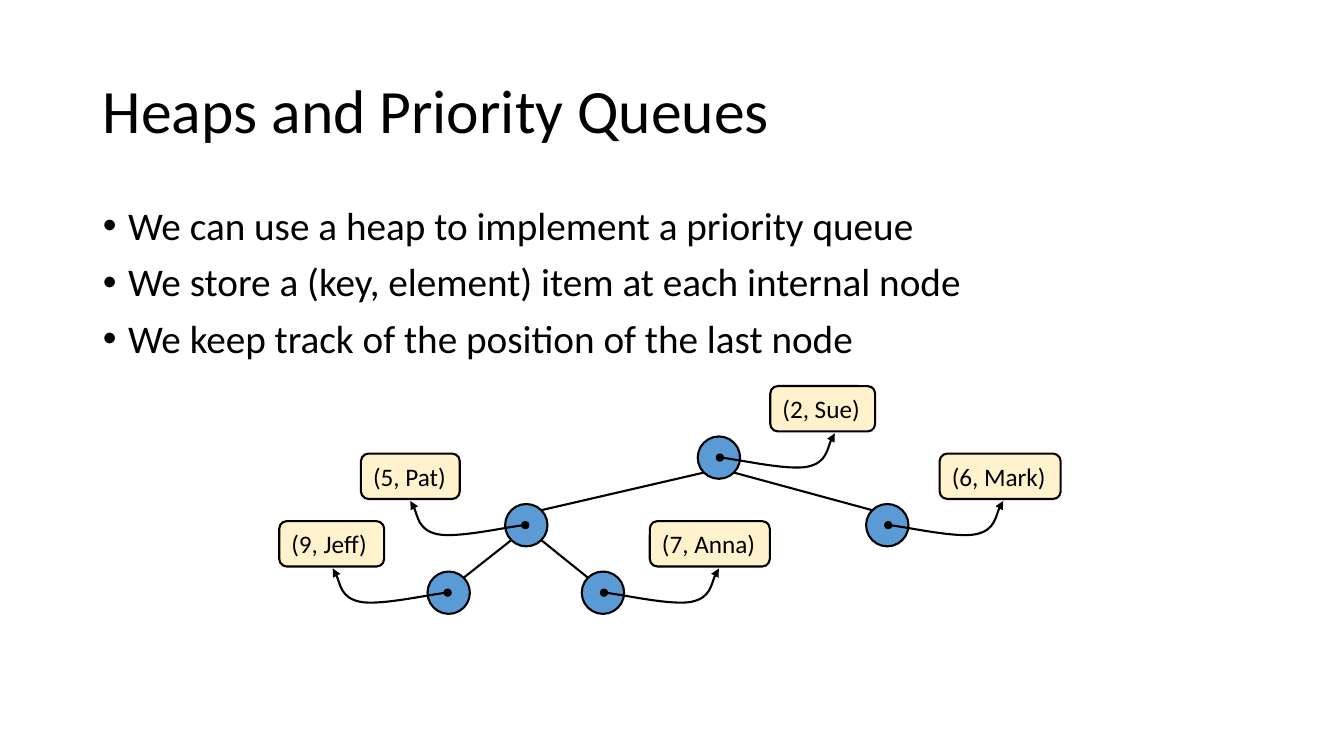
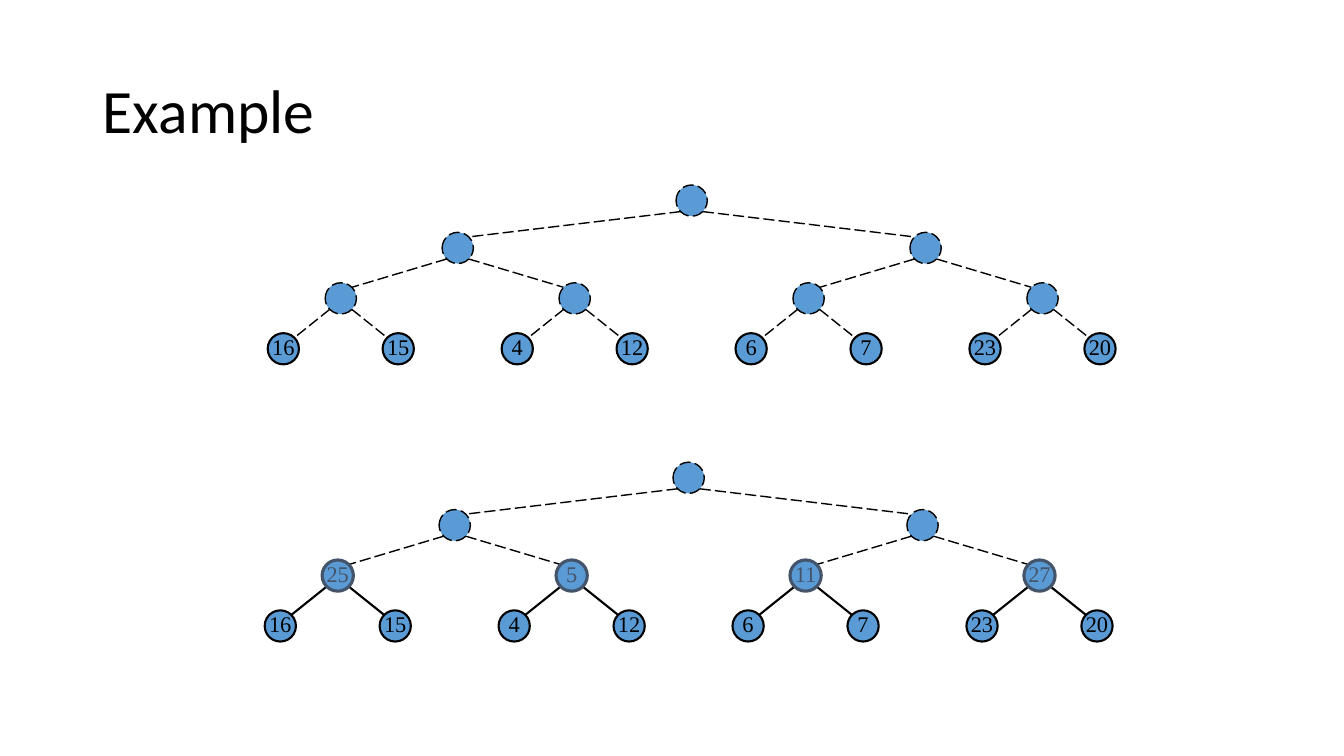
from dataclasses import dataclass
from math import sqrt

from lxml import etree
from pptx import Presentation
from pptx import util as u
from pptx.dml import color
from pptx.enum import dml, shapes, text
from pptx.oxml import ns


@dataclass(frozen=True)
class Theme:
    """Colours, fonts, type sizes and line widths shared by the slides."""
    ink: color.RGBColor = color.RGBColor(0x00, 0x00, 0x00)
    node: color.RGBColor = color.RGBColor(0x5B, 0x9B, 0xD5)
    item: color.RGBColor = color.RGBColor(0xFF, 0xF2, 0xCC)
    merged: color.RGBColor = color.RGBColor(0x44, 0x54, 0x6A)
    font: str = "Calibri"
    key_font: str = "Times New Roman"
    title_size: float = 44
    body_size: float = 28
    item_size: float = 18
    key_size: float = 16
    solid: float = 1.5
    dashed: float = 1
    heavy: float = 2.25


THEME = Theme()
TITLE_BOX = (0.92, 0.4, 11.5, 1.45)
BODY_BOX = (0.92, 2, 11.5, 4.76)
LEFT, RIGHT = -1, 1
POINTER_CURVE = [(0.01, 0), (0.16, 0.01), (0.69, 0.13), (0.88, 0.09),
                 (1.07, 0.05), (1.09, -0.17), (1.15, -0.24)]


def place(part, box):
    """Move a part to a box of left, top, width and height in inches."""
    part.left, part.top, part.width, part.height = map(u.Inches, box)


def write(paragraph, words, size, font=THEME.font, ink=THEME.ink):
    """Add one formatted run to a paragraph."""
    run = paragraph.add_run()
    run.text = words
    run.font.size = u.Pt(size)
    run.font.name = font
    run.font.color.rgb = ink


def stroke(line, width=THEME.solid, ink=THEME.ink, dashed=False):
    """Set the width, colour and dash of a line."""
    line.width = u.Pt(width)
    line.color.rgb = ink
    if dashed:
        line.dash_style = dml.MSO_LINE.LONG_DASH


def titled_slide(deck, layout, heading):
    """Add a slide with the shared title style."""
    slide = deck.slide_layouts[layout]
    slide = deck.slides.add_slide(slide)
    title = slide.shapes.title
    place(title, TITLE_BOX)
    title.text_frame.vertical_anchor = text.MSO_ANCHOR.MIDDLE
    paragraph = title.text_frame.paragraphs[0]
    paragraph.alignment = text.PP_ALIGN.LEFT
    paragraph.line_spacing = 0.9
    write(paragraph, heading, THEME.title_size)
    return slide


def bullet_list(slide, box, points):
    """Fill the body placeholder with bulleted points."""
    body = slide.placeholders[1]
    place(body, box)
    frame = body.text_frame
    frame.auto_size = text.MSO_AUTO_SIZE.NONE
    for index, point in enumerate(points):
        paragraph = frame.add_paragraph() if index else frame.paragraphs[0]
        paragraph.line_spacing = 0.9
        paragraph.space_before = u.Pt(10)
        indent = paragraph._p.get_or_add_pPr()
        indent.set("marL", str(u.Inches(0.25)))
        indent.set("indent", str(u.Inches(-0.25)))
        write(paragraph, point, THEME.body_size)


def filled_shape(slide, kind, box, fill, **line_style):
    """Add an outlined preset shape without a shadow."""
    shape = slide.shapes.add_shape(kind, *map(u.Inches, box))
    shape.shadow.inherit = False
    shape.fill.solid()
    shape.fill.fore_color.rgb = fill
    stroke(shape.line, **line_style)
    return shape


def tree_node(slide, centre, size, **line_style):
    """Add a round node around its centre."""
    x, y = centre
    return filled_shape(slide, shapes.MSO_SHAPE.OVAL,
                        (x - size / 2, y - size / 2, size, size),
                        THEME.node, **line_style)


def tree_edge(slide, parent, child, size, **line_style):
    """Join the lower diagonal of a parent to the upper diagonal of a child."""
    reach = size / sqrt(8)
    side = RIGHT if child[0] > parent[0] else LEFT
    ends = (parent[0] + side * reach, parent[1] + reach,
            child[0] - side * reach, child[1] - reach)
    edge = slide.shapes.add_connector(shapes.MSO_CONNECTOR.STRAIGHT,
                                      *map(u.Inches, ends))
    stroke(edge.line, **line_style)
    etree.SubElement(edge._element.spPr, ns.qn("a:effectLst"))


def item_pointer(slide, centre, side):
    """Draw a curved arrow from a node centre up to its item."""
    start, *bends = [(u.Inches(centre[0] + side * dx), u.Inches(centre[1] + dy))
                     for dx, dy in POINTER_CURVE]
    outline = slide.shapes.build_freeform(*start)
    outline.add_line_segments(bends, close=False)
    pointer = outline.convert_to_shape()
    pointer.shadow.inherit = False
    pointer.fill.background()
    stroke(pointer.line)
    segments = list(pointer._element.iter(ns.qn("a:lnTo")))
    for first in range(0, len(segments), 3):
        curve = etree.Element(ns.qn("a:cubicBezTo"))
        segments[first].addprevious(curve)
        for segment in segments[first:first + 3]:
            curve.append(segment[0])
            segment.getparent().remove(segment)
    ends = pointer.line._get_or_add_ln()
    etree.SubElement(ends, ns.qn("a:headEnd"), type="oval")
    etree.SubElement(ends, ns.qn("a:tailEnd"), type="triangle")


def item_label(slide, box, words):
    """Add a rounded label for a (key, element) item."""
    label = filled_shape(slide, shapes.MSO_SHAPE.ROUNDED_RECTANGLE, box, THEME.item)
    frame = label.text_frame
    frame.word_wrap = False
    frame.auto_size = text.MSO_AUTO_SIZE.SHAPE_TO_FIT_TEXT
    frame.vertical_anchor = text.MSO_ANCHOR.MIDDLE
    frame.paragraphs[0].alignment = text.PP_ALIGN.LEFT
    write(frame.paragraphs[0], words, THEME.item_size)


def item_heap(slide, box, items, edges):
    """Draw a heap whose nodes point to their items."""
    left, top, row_height, size = box
    centres = {name: (left + x, top + row * row_height)
               for name, (x, row, *_) in items.items()}
    for parent, child in edges:
        tree_edge(slide, centres[parent], centres[child], size)
    for name, (_, _, side, key, offset, width) in items.items():
        x, y = centres[name]
        tree_node(slide, (x, y), size)
        item_label(slide, (x + side * offset - width / 2, y - 0.71, width, 0.45),
                   f"({key}, {name})")
        item_pointer(slide, (x, y), side)


def key_node(slide, centre, size, key, leaf):
    """Add a numbered node, or a dashed one when it has no key yet."""
    if key is None:
        tree_node(slide, centre, size, width=THEME.dashed, dashed=True)
        return
    ink, width = (THEME.ink, THEME.solid) if leaf else (THEME.merged, THEME.heavy)
    node = tree_node(slide, centre, size, width=width, ink=ink)
    frame = node.text_frame
    frame.margin_left = frame.margin_top = frame.margin_right = 0
    frame.margin_bottom = u.Inches(0.05)
    frame.word_wrap = False
    frame.vertical_anchor = text.MSO_ANCHOR.MIDDLE
    frame.paragraphs[0].alignment = text.PP_ALIGN.CENTER
    write(frame.paragraphs[0], str(key), THEME.key_size, THEME.key_font, ink)


def key_heap(slide, root, levels):
    """Draw a complete binary tree below its root, level by level."""
    size = 0.31
    drops, spreads = (0.47, 0.97, 1.47), (2.32, 1.16, 0.57)
    rows = [[root]]
    for drop, spread in zip(drops, spreads):
        rows.append([(x + side * spread, root[1] + drop)
                     for x, _ in rows[-1] for side in (LEFT, RIGHT)])
    for parents, children, keys in zip(rows, rows[1:], levels):
        for index, child in enumerate(children):
            blank = keys[index // 2] is None
            tree_edge(slide, parents[index // 2], child, size, dashed=blank,
                      width=THEME.dashed if blank else THEME.solid)
    for row, keys in zip(rows, levels):
        for centre, key in zip(row, keys):
            key_node(slide, centre, size, key, leaf=row is rows[-1])


def priority_queue_slide(deck):
    """Build the slide on heaps as priority queues."""
    slide = titled_slide(deck, 1, "Heaps and Priority Queues")
    bullet_list(slide, BODY_BOX, [
        "We can use a heap to implement a priority queue",
        "We store a (key, element) item at each internal node",
        "We keep track of the position of the last node",
    ])
    items = {
        "Sue": (2.68, 0, RIGHT, 2, 1.03, 1.04),
        "Pat": (0.77, 1, LEFT, 5, 1.15, 0.98),
        "Mark": (4.35, 1, RIGHT, 6, 1.12, 1.2),
        "Jeff": (0, 2, LEFT, 9, 1.16, 1.04),
        "Anna": (1.53, 2, RIGHT, 7, 1.06, 1.19),
    }
    edges = [("Sue", "Pat"), ("Sue", "Mark"), ("Pat", "Jeff"), ("Pat", "Anna")]
    item_heap(slide, (4.45, 4.54, 0.67, 0.42), items, edges)


def example_slide(deck):
    """Build the slide that shows two steps of heap construction."""
    slide = titled_slide(deck, 5, "Example")
    blank_levels = [[None], [None] * 2]
    leaves = [16, 15, 4, 12, 6, 7, 23, 20]
    key_heap(slide, (6.86, 1.99), [*blank_levels, [None] * 4, leaves])
    key_heap(slide, (6.83, 4.74), [*blank_levels, [25, 5, 11, 27], leaves])


def main():
    """Build and save the deck."""
    deck = Presentation()
    deck.slide_width, deck.slide_height = u.Inches(13.33), u.Inches(7.5)
    priority_queue_slide(deck)
    example_slide(deck)
    deck.save("out.pptx")


main()
